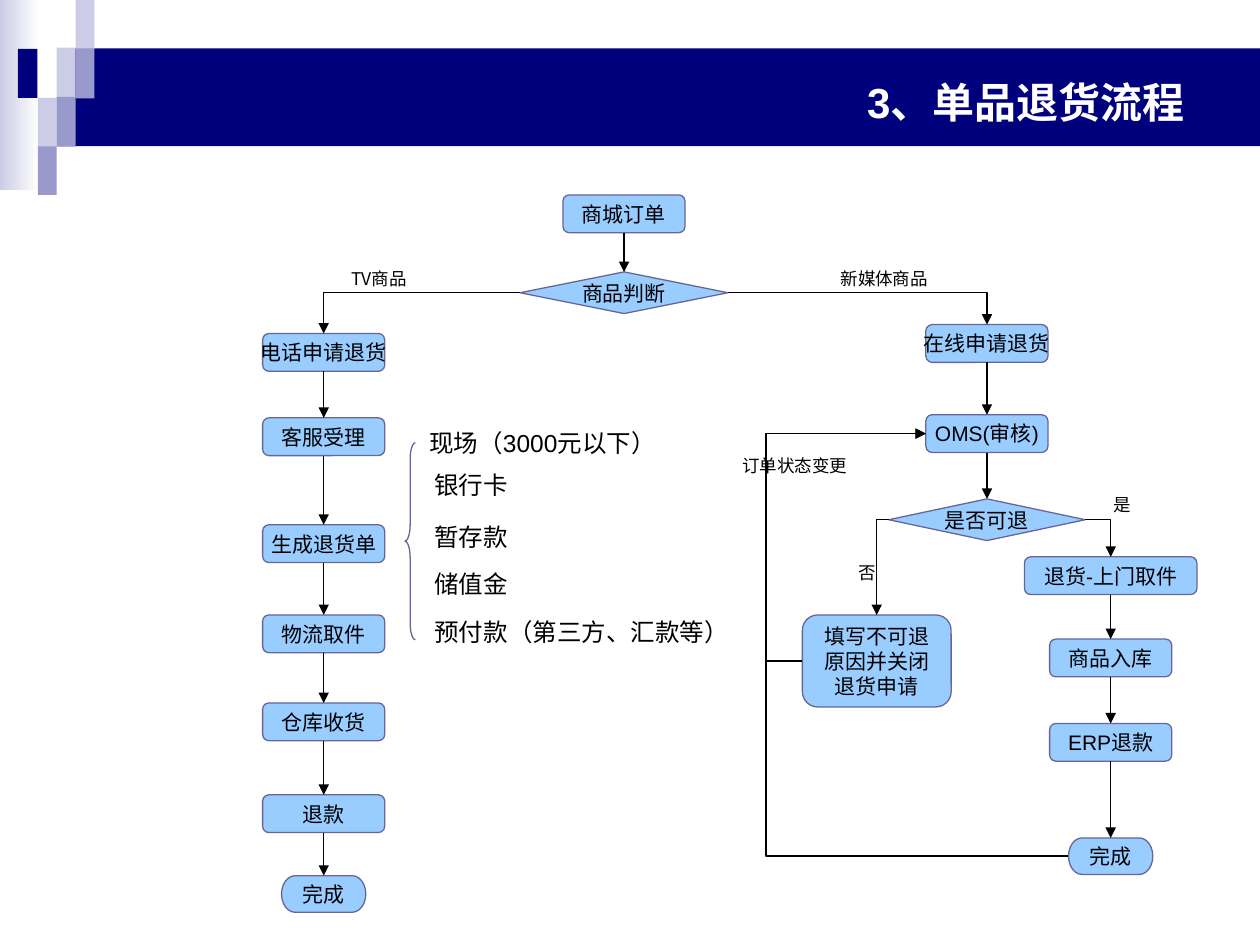
from lxml import etree
from pptx import Presentation
from pptx.dml.color import RGBColor
from pptx.enum.shapes import MSO_CONNECTOR, MSO_SHAPE
from pptx.enum.text import MSO_ANCHOR, PP_ALIGN
from pptx.oxml.ns import qn
from pptx.util import Pt

RECT, BRACE = MSO_SHAPE.RECTANGLE, MSO_SHAPE.LEFT_BRACE
ROUND, DIAMOND, END = MSO_SHAPE.ROUNDED_RECTANGLE, MSO_SHAPE.DIAMOND, MSO_SHAPE.FLOWCHART_TERMINATOR
ELBOW, STRAIGHT = MSO_CONNECTOR.ELBOW, MSO_CONNECTOR.STRAIGHT
LEFT, CENTER, RIGHT = PP_ALIGN.LEFT, PP_ALIGN.CENTER, PP_ALIGN.RIGHT
TOP, MIDDLE = MSO_ANCHOR.TOP, MSO_ANCHOR.MIDDLE
NORTH, WEST, SOUTH, EAST = range(4)

LATIN, HAN = "Arial", "Noto Sans CJK SC"
NAVY, LILAC, PALE, WHITE = "00007D", "9999CC", "CCCCE6", "FFFFFF"
BLACK, SKY, EDGE = "000000", "99CCFF", "666699"
BOX_W, BOX_H = 69.8, 21.6
LOOP_X = 437.8

TILES = [
    (32.7, 27.6, 687.3, 55.9, NAVY),
    (32.3, 27.3, 10.9, 28.7, PALE),
    (43.2, 0, 10.8, 28, PALE),
    (43.2, 27.6, 10.8, 28.6, LILAC),
    (21.6, 56, 10.8, 28, PALE),
    (10.2, 28, 11.2, 28, NAVY),
    (32.3, 55.4, 10.9, 28.4, LILAC),
    (21.6, 83.6, 10.8, 27.8, LILAC),
]
PHONE = [("电话申请退货", 190.6), ("客服受理", 238.8), ("生成退货单", 299.9),
         ("物流取件", 351.4), ("仓库收货", 401.7), ("退款", 454.2)]
REFUNDS = [("现场（3000元以下）", 238.2, 241.2, 150.5), ("银行卡", 241.2, 265, 58),
           ("暂存款", 241.2, 294.5, 58), ("储值金", 241.2, 321.8, 58),
           ("预付款（第三方、汇款等）", 241.2, 349.2, 182.9)]
LABELS = [("TV商品", 193.7, 149.4, 59.8, True), ("新媒体商品", 473.3, 149.4, 85, True),
          ("否", 483.4, 317.6, 24.5, False), ("订单状态变更", 417.2, 256.4, 74.4, False),
          ("是", 629, 278.6, 24.5, False)]


def color(code):
    """Turn a hex string into a colour."""
    return RGBColor.from_string(code)


def write(shape, text, size=12, font=LATIN, ink=BLACK, bold=False,
          align=LEFT, anchor=TOP, wrap=False):
    """Put formatted text into a shape."""
    frame = shape.text_frame
    frame.word_wrap, frame.vertical_anchor = wrap, anchor
    para = frame.paragraphs[0]
    para.alignment = align
    run = para.add_run()
    run.text = text
    run.font.size, run.font.name, run.font.bold = Pt(size), font, bold
    run.font.color.rgb = color(ink)
    etree.SubElement(run.font._element, qn("a:ea"), typeface=HAN)


def block(slide, kind, x, y, w, h, fill=None, line=None):
    """Add a preset shape with flat fill and thin line."""
    shape = slide.shapes.add_shape(kind, Pt(x), Pt(y), Pt(w), Pt(h))
    shape.shadow.inherit = False
    if fill:
        shape.fill.solid()
        shape.fill.fore_color.rgb = color(fill)
    else:
        shape.fill.background()
    if line:
        shape.line.color.rgb = color(line)
        shape.line.width = Pt(0.75)
    else:
        shape.line.fill.background()
    return shape


def node(slide, text, mid, y, w=BOX_W, h=BOX_H, kind=ROUND, wrap=False):
    """Add a flow step centred on a column."""
    shape = block(slide, kind, mid - w / 2, y, w, h, SKY, EDGE)
    write(shape, text, align=CENTER, anchor=MIDDLE, wrap=wrap)
    return shape


def label(slide, text, x, y, w, h, **style):
    """Add a free text box."""
    write(slide.shapes.add_textbox(Pt(x), Pt(y), Pt(w), Pt(h)), text, **style)


def arrow(slide, start, end, out=SOUTH, into=NORTH, kind=STRAIGHT):
    """Join two steps with a glued arrow."""
    link = slide.shapes.add_connector(kind, 0, 0, 0, 0)
    link.begin_connect(start, out)
    link.end_connect(end, into)
    link.line.color.rgb = color(BLACK)
    link.line.width = Pt(0.75)
    etree.SubElement(link.line._get_or_add_ln(), qn("a:tailEnd"), type="triangle")
    etree.SubElement(link._element.spPr, qn("a:effectLst"))
    return link


def corner(slide, start, end, side):
    """Join two steps with one right-angle turn."""
    link = arrow(slide, start, end, out=side, kind=ELBOW)
    link._element.spPr.find(qn("a:prstGeom")).set("prst", "bentConnector2")


def loop(slide, start, end):
    """Lead a step back to an earlier one along the loop line."""
    link = arrow(slide, start, end, WEST, WEST, ELBOW)
    ratio = (Pt(LOOP_X) - link.begin_x) / (link.end_x - link.begin_x)
    guides = link._element.spPr.find(qn("a:prstGeom")).get_or_add_avLst()
    etree.SubElement(guides, qn("a:gd"), name="adj1", fmla=f"val {round(ratio * 100000)}")


def chain(slide, steps):
    """Join steps in order, top to bottom."""
    for start, end in zip(steps, steps[1:]):
        arrow(slide, start, end)


def banner(slide):
    """Draw the header band, its tiles and the title."""
    fade = block(slide, RECT, 0, 0, 22.3, 108.7, PALE)
    fade.fill.gradient()
    fade.fill.gradient_angle = 0
    for stop, tone in zip(fade.fill.gradient_stops, (PALE, WHITE)):
        stop.color.rgb = color(tone)
    for *place, tone in TILES:
        block(slide, RECT, *place, tone)
    label(slide, "3、单品退货流程", 36, 21.6, 648, 72.7, size=24, ink=WHITE,
          bold=True, align=RIGHT, anchor=MIDDLE, wrap=True)


def notes(slide):
    """Draw the refund list and the branch labels."""
    brace = block(slide, BRACE, 231.4, 253, 6, 112.6, line=EDGE)
    brace.adjustments[0] = 1.56
    for text, x, y, w in REFUNDS:
        label(slide, text, x, y, w, 24.5, size=14)
    for text, x, y, w, wrap in LABELS:
        label(slide, text, x, y, w, 19.4, size=10, font=HAN, wrap=wrap)


def flow(slide):
    """Draw the steps and join them."""
    order = node(slide, "商城订单", 356.6, 111.4)
    split = node(slide, "商品判断", 356.6, 155.4, 118.8, 23.8, DIAMOND)
    phone = [node(slide, text, 185, y) for text, y in PHONE]
    phone.append(node(slide, "完成", 185, 500.4, 48.2, 20.9, END))
    online = node(slide, "在线申请退货", 564, 185.5)
    audit = node(slide, "OMS(审核)", 564, 237)
    check = node(slide, "是否可退", 564, 285.1, 112.3, 23.8, DIAMOND)
    reject = node(slide, "填写不可退原因并关闭退货申请", 501, 351.4, 85, 52.6, wrap=True)
    back = [node(slide, "退货-上门取件", 634.7, 318.2, w=98.6),
            node(slide, "商品入库", 634.7, 365.2),
            node(slide, "ERP退款", 634.7, 413.4),
            node(slide, "完成", 634.7, 478.8, 48.2, 20.9, END)]
    for steps in ([order, split], phone, [online, audit, check], back):
        chain(slide, steps)
    corner(slide, split, phone[0], WEST)
    corner(slide, split, online, EAST)
    corner(slide, check, reject, WEST)
    corner(slide, check, back[0], EAST)
    loop(slide, reject, audit)
    loop(slide, back[-1], audit)


def main():
    """Build and save the slide."""
    deck = Presentation()
    deck.slide_width, deck.slide_height = Pt(720), Pt(540)
    slide = deck.slides.add_slide(deck.slide_layouts[6])
    banner(slide)
    notes(slide)
    flow(slide)
    deck.save("out.pptx")


if __name__ == "__main__":
    main()
